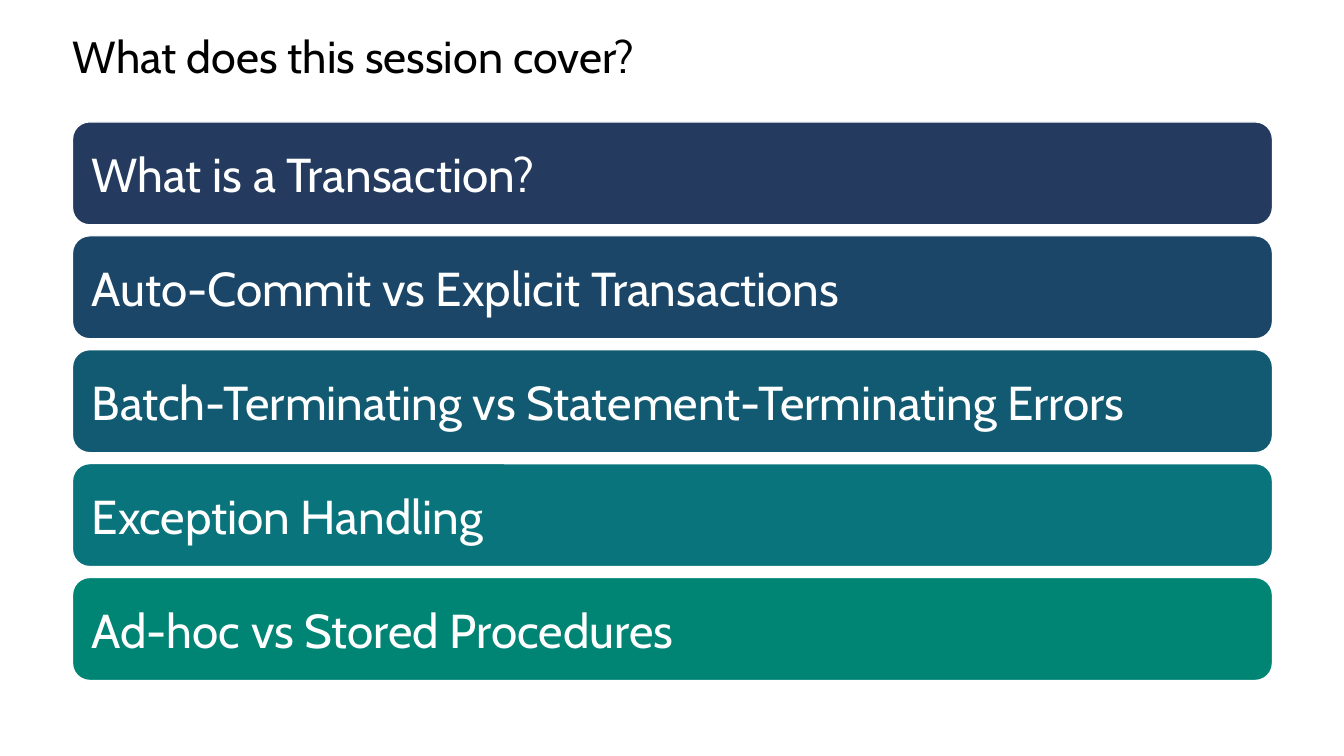
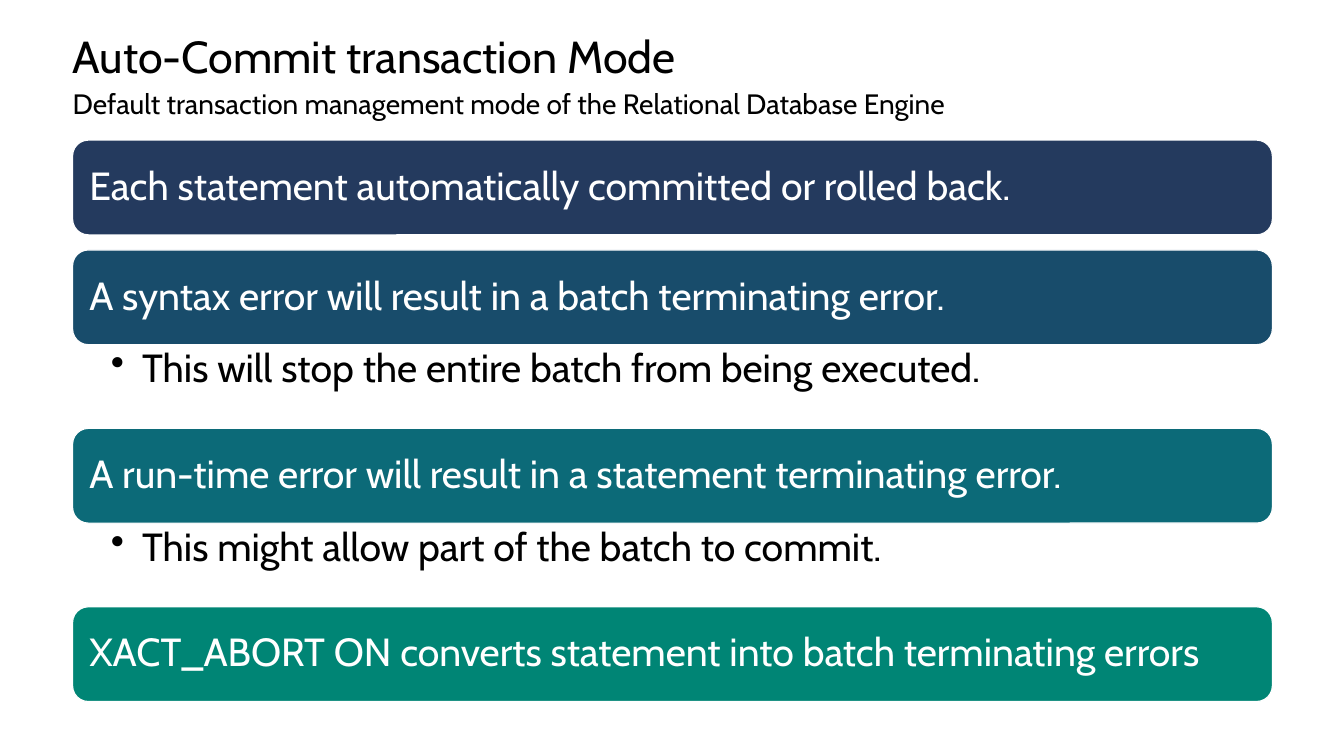
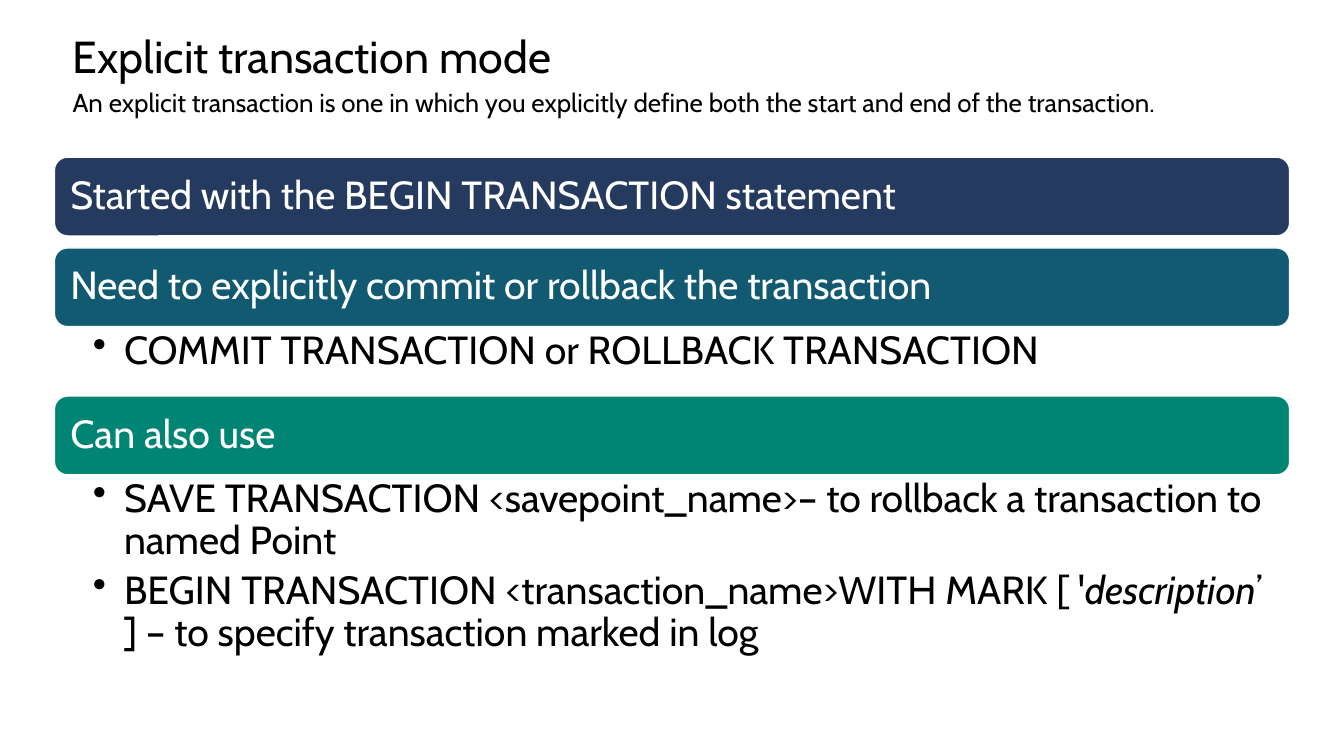
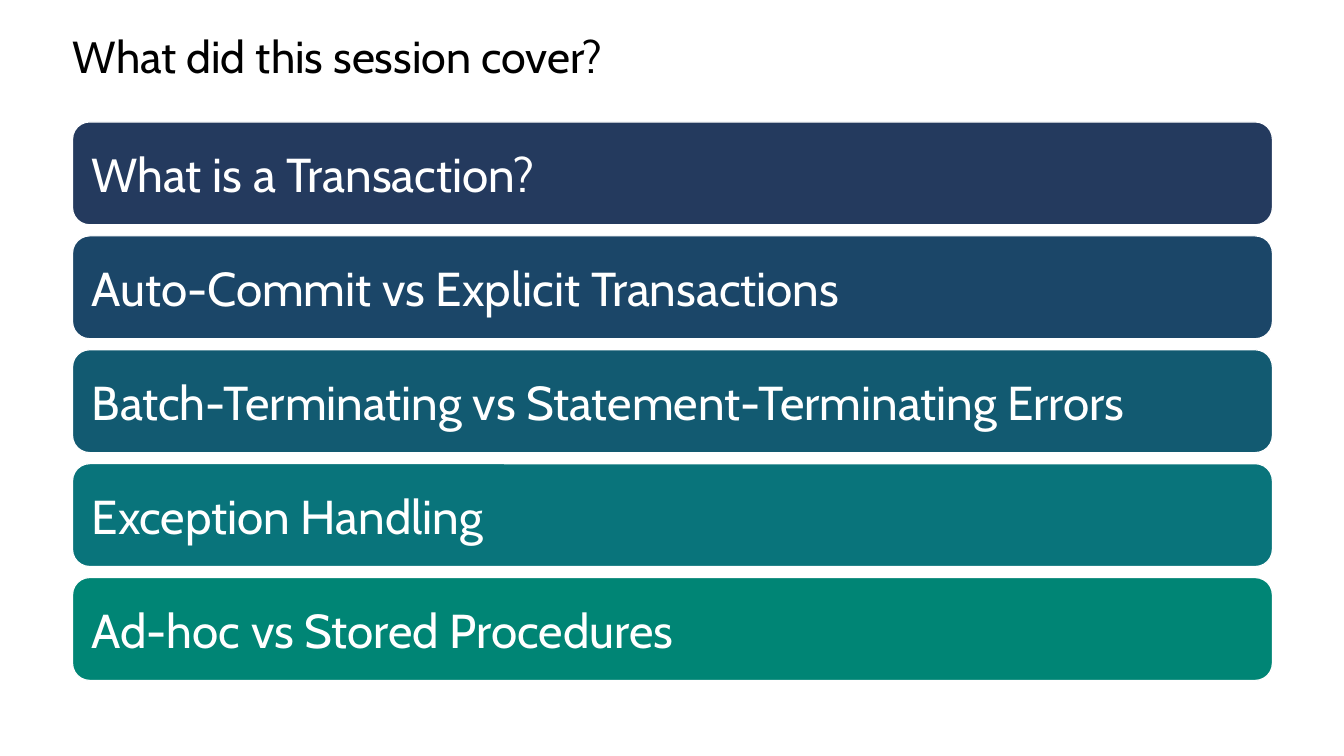
"""Build four slides on database transactions and error handling."""
from colorsys import hls_to_rgb, rgb_to_hls
from dataclasses import dataclass

from lxml.etree import SubElement
from pptx import Presentation
from pptx.dml.color import RGBColor
from pptx.enum.shapes import MSO_SHAPE
from pptx.enum.text import MSO_ANCHOR, PP_ALIGN
from pptx.oxml.ns import qn
from pptx.util import Emu, Pt


@dataclass(frozen=True)
class Theme:
    """Colours, font and type sizes shared by all slides."""

    font: str = "Cabin"
    ink: str = "000000"
    paper: str = "FFFFFF"
    first_bar: str = "243A5E"
    last_bar: str = "008575"
    title_size: float = 32
    subtitle_size: float = 20
    small_subtitle_size: float = 18.5
    agenda_size: float = 34
    body_size: float = 28
    outline: float = 0.85


@dataclass(frozen=True)
class Section:
    """A bar heading with optional bullets in an area of a given height."""

    heading: str
    bullets: tuple = ()
    bullets_height: int = 0


@dataclass(frozen=True)
class Span:
    """A piece of a paragraph."""

    text: str
    italic: bool = False


THEME = Theme()
PX = 9144
LEFT, WIDTH = 72, 1190
BULLET_INDENT = 31

AGENDA = [
    Section("What is a Transaction?"),
    Section("Auto-Commit vs Explicit Transactions"),
    Section("Batch-Terminating vs Statement-Terminating Errors"),
    Section("Exception Handling"),
    Section("Ad-hoc vs Stored Procedures"),
]
AUTO_COMMIT = [
    Section("Each statement automatically committed or rolled back."),
    Section("A syntax error will result in a batch terminating error.",
            ("This will stop the entire batch from being executed.",), 83),
    Section("A run-time error will result in a statement terminating error.",
            ("This might allow part of the batch to commit.",), 83),
    Section("XACT_ABORT ON converts statement into batch terminating errors"),
]
EXPLICIT = [
    Section("Started with the BEGIN TRANSACTION statement"),
    Section("Need to explicitly commit or rollback the transaction",
            ("COMMIT TRANSACTION or ROLLBACK TRANSACTION",), 69),
    Section("Can also use", (
        "SAVE TRANSACTION <savepoint_name>– to rollback a transaction to named Point",
        (Span("BEGIN TRANSACTION <transaction_name>WITH MARK [ '"),
         Span("description", italic=True),
         Span("’ ] – to specify transaction marked in log")),
    ), 206),
]


def px(*lengths):
    """Turn px lengths into EMU."""
    return [Emu(length * PX) for length in lengths]


def blend(count):
    """Return evenly spaced bar colours between the two theme ends, by hue."""
    first, last = (
        rgb_to_hls(*(part / 255 for part in RGBColor.from_string(code)))
        for code in (THEME.first_bar, THEME.last_bar)
    )
    colours = []
    for step in range(count):
        share = step / (count - 1)
        mixed = [a + (b - a) * share for a, b in zip(first, last)]
        colours.append(RGBColor(*(round(part * 255) for part in hls_to_rgb(*mixed))))
    return colours


def add_bullet(para):
    """Give a paragraph a hanging round bullet."""
    properties = para._p.get_or_add_pPr()
    indent = BULLET_INDENT * PX
    properties.set("marL", str(indent))
    properties.set("indent", str(-indent))
    SubElement(properties, qn("a:buChar")).set("char", "•")


def write(box, paragraphs, size, colour=THEME.ink, insets=(0, 0, 0, 0),
          anchor=MSO_ANCHOR.TOP, line_spacing=1.0, space_after=0, bullet=False):
    """Fill a box with formatted paragraphs of text or spans."""
    frame = box.text_frame
    frame.word_wrap = True
    frame.vertical_anchor = anchor
    (frame.margin_left, frame.margin_top,
     frame.margin_right, frame.margin_bottom) = px(*insets)
    for index, content in enumerate(paragraphs):
        para = frame.add_paragraph() if index else frame.paragraphs[0]
        para.alignment = PP_ALIGN.LEFT
        para.line_spacing = line_spacing
        para.space_after = Pt(space_after)
        if bullet:
            add_bullet(para)
        for span in (Span(content),) if isinstance(content, str) else content:
            run = para.add_run()
            run.text = span.text
            run.font.name = THEME.font
            run.font.size = Pt(size)
            run.font.italic = span.italic
            run.font.color.rgb = RGBColor.from_string(colour)


def add_bar(page, place, text, fill, size, inset, line_spacing):
    """Add a rounded bar with its heading."""
    bar = page.shapes.add_shape(MSO_SHAPE.ROUNDED_RECTANGLE, *px(*place))
    bar.shadow.inherit = False
    bar.fill.solid()
    bar.fill.fore_color.rgb = fill
    bar.line.color.rgb = RGBColor.from_string(THEME.paper)
    bar.line.width = Pt(THEME.outline)
    write(bar, [text], size, colour=THEME.paper, insets=(inset,) * 4,
          anchor=MSO_ANCHOR.MIDDLE, line_spacing=line_spacing)


def add_sections(page, sections, top, height, gap, left=LEFT, width=WIDTH,
                 size=THEME.body_size, inset=12, line_spacing=0.9):
    """Stack bars downwards, each followed by its bullets or by a gap."""
    for section, fill in zip(sections, blend(len(sections))):
        add_bar(page, (left, top, width, height), section.heading, fill,
                size, inset, line_spacing)
        top += height
        if section.bullets:
            box = page.shapes.add_textbox(*px(left, top, width, section.bullets_height))
            write(box, section.bullets, size, insets=(38, 4, 22, 4),
                  line_spacing=line_spacing, space_after=5, bullet=True)
        top += section.bullets_height or gap


def add_page(deck, title, subtitle=None, subtitle_size=THEME.subtitle_size):
    """Add a blank page with a title and an optional subtitle."""
    page = deck.slides.add_slide(deck.slide_layouts[6])
    box = page.shapes.add_textbox(*px(LEFT, 35, WIDTH, 50))
    write(box, [title], THEME.title_size, line_spacing=0.9)
    if subtitle:
        box = page.shapes.add_textbox(*px(LEFT, 86, WIDTH, 50))
        write(box, [subtitle], subtitle_size)
    return page


def add_agenda(deck, title):
    """Add a page listing the session topics."""
    add_sections(add_page(deck, title), AGENDA, top=121, height=102, gap=11,
                 size=THEME.agenda_size, inset=14, line_spacing=1.0)


def main():
    """Build and save the deck."""
    deck = Presentation()
    deck.slide_width, deck.slide_height = px(1333, 750)

    add_agenda(deck, "What does this session cover?")

    page = add_page(
        deck, "Auto-Commit transaction Mode",
        "Default transaction management mode of the Relational Database Engine")
    add_sections(page, AUTO_COMMIT, top=139, height=94, gap=15)

    page = add_page(
        deck, "Explicit transaction mode",
        "An explicit transaction is one in which you explicitly define both "
        "the start and end of the transaction.",
        subtitle_size=THEME.small_subtitle_size)
    add_sections(page, EXPLICIT, top=156, height=78, gap=12, left=54, width=1225)

    add_agenda(deck, "What did this session cover?")
    deck.save("out.pptx")


if __name__ == "__main__":
    main()
